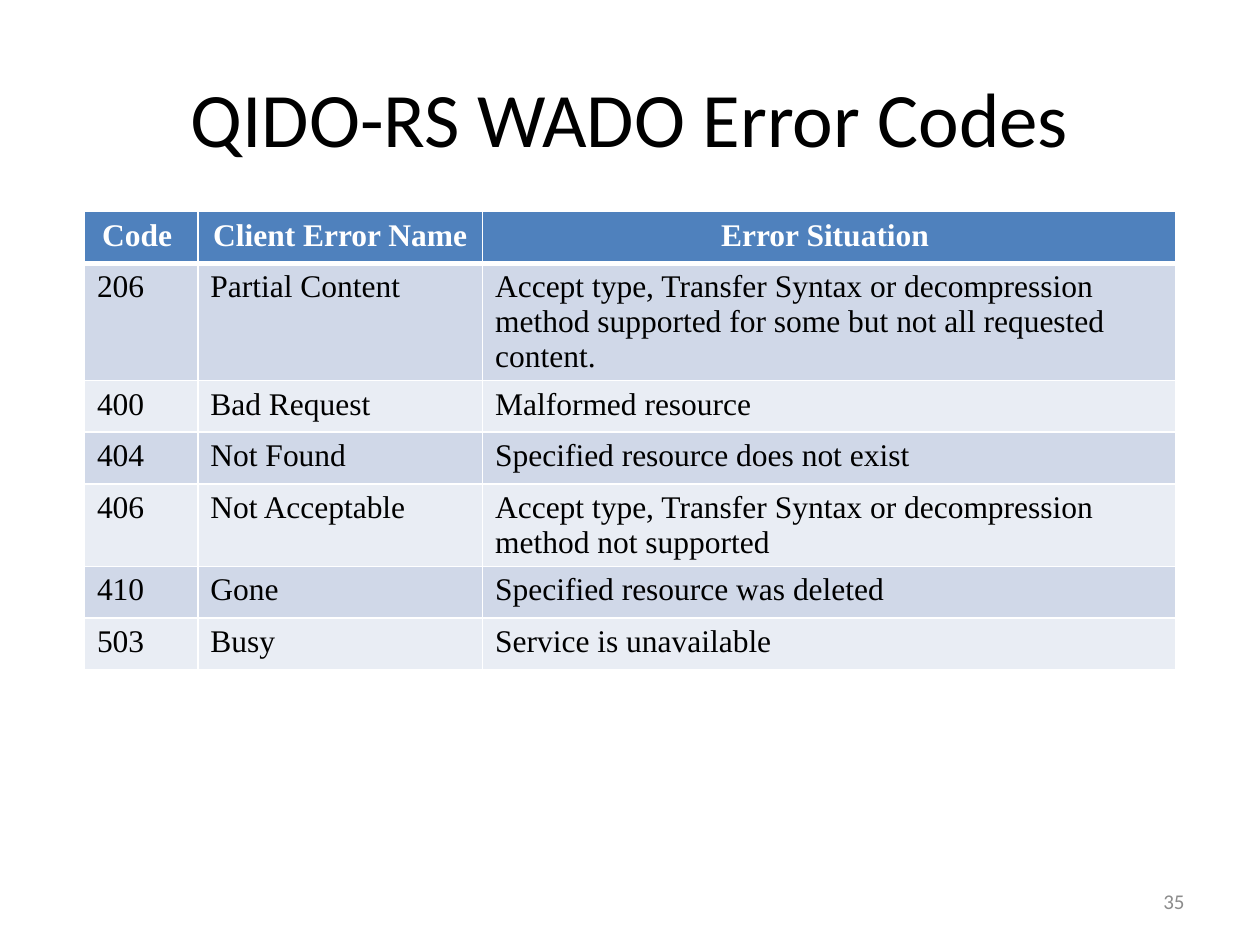
from dataclasses import dataclass

from pptx import Presentation
from pptx import util as u
from pptx.dml.color import RGBColor
from pptx.enum import text
from pptx.oxml import parse_xml
from pptx.oxml.ns import nsdecls

WHITE, BLACK, GREY = "FFFFFF", "000000", "8C8C8C"
HEADER_FILL = "4F81BD"
BAND_FILLS = ("D0D8E8", "E9EDF4")
COLUMN_WIDTHS = (0.9, 2.26, 5.5)
ROW_HEIGHT = 0.41


@dataclass(frozen=True)
class Style:
    font: str
    size: int
    color: str
    align: text.PP_ALIGN
    bold: bool = False


@dataclass(frozen=True)
class Label:
    content: str
    left: float
    top: float
    width: float
    height: float
    style: Style


@dataclass(frozen=True)
class ErrorCode:
    code: str
    name: str
    situation: str


HEADER_STYLE = Style("Times New Roman", 18, WHITE, text.PP_ALIGN.CENTER, True)
BODY_STYLE = Style("Times New Roman", 18, BLACK, text.PP_ALIGN.LEFT)

LABELS = (
    Label("QIDO-RS WADO Error Codes", 0.5, 0.3, 9, 1.25,
          Style("Calibri", 44, BLACK, text.PP_ALIGN.CENTER)),
    Label("35", 7.17, 6.95, 2.33, 0.4,
          Style("Calibri", 12, GREY, text.PP_ALIGN.RIGHT)),
)

ROWS = (
    ErrorCode("Code ", "Client Error Name ", "Error Situation "),
    ErrorCode("206", "Partial Content",
              "Accept type, Transfer Syntax or decompression method "
              "supported for some but not all requested content."),
    ErrorCode("400", "Bad Request", "Malformed resource"),
    ErrorCode("404", "Not Found", "Specified resource does not exist"),
    ErrorCode("406", "Not Acceptable",
              "Accept type, Transfer Syntax or decompression method not supported"),
    ErrorCode("410", "Gone", "Specified resource was deleted"),
    ErrorCode("503", "Busy", "Service is unavailable"),
)


def rgb(value: str) -> RGBColor:
    return RGBColor.from_string(value)


def write(tf, content: str, style: Style) -> None:
    p = tf.paragraphs[0]
    p.alignment = style.align
    r = p.add_run()
    r.text = content
    r.font.name = style.font
    r.font.size = u.Pt(style.size)
    r.font.bold = style.bold
    r.font.color.rgb = rgb(style.color)


def add_label(slide, label: Label) -> None:
    sp = slide.shapes.add_textbox(u.Inches(label.left), u.Inches(label.top),
                                  u.Inches(label.width), u.Inches(label.height))
    tf = sp.text_frame
    tf.word_wrap = True
    tf.vertical_anchor = text.MSO_ANCHOR.MIDDLE
    write(tf, label.content, label.style)


def set_borders(cell, bottom: int) -> None:
    tc_pr = cell._tc.get_or_add_tcPr()
    for i, (side, width) in enumerate(zip("LRTB", (1, 1, 1, bottom))):
        tc_pr.insert(i, parse_xml(
            f'<a:ln{side} {nsdecls("a")} w="{u.Pt(width)}"><a:solidFill>'
            f'<a:srgbClr val="{WHITE}"/></a:solidFill></a:ln{side}>'))


def add_error_table(slide, left: float, top: float) -> None:
    table = slide.shapes.add_table(
        len(ROWS), len(COLUMN_WIDTHS), u.Inches(left), u.Inches(top),
        u.Inches(sum(COLUMN_WIDTHS)), u.Inches(ROW_HEIGHT * len(ROWS))).table
    for column, width in zip(table.columns, COLUMN_WIDTHS):
        column.width = u.Inches(width)
    for i, row in enumerate(ROWS):
        table.rows[i].height = u.Inches(ROW_HEIGHT)
        header = i == 0
        fill = HEADER_FILL if header else BAND_FILLS[(i - 1) % 2]
        style = HEADER_STYLE if header else BODY_STYLE
        for j, content in enumerate((row.code, row.name, row.situation)):
            cell = table.cell(i, j)
            cell.fill.solid()
            cell.fill.fore_color.rgb = rgb(fill)
            set_borders(cell, 3 if header else 1)
            write(cell.text_frame, content, style)


def main() -> None:
    prs = Presentation()
    prs.slide_width, prs.slide_height = u.Inches(10), u.Inches(7.5)
    s = prs.slides.add_slide(prs.slide_layouts[6])
    add_error_table(s, 0.67, 1.68)
    for label in LABELS:
        add_label(s, label)
    prs.save("out.pptx")


if __name__ == "__main__":
    main()
